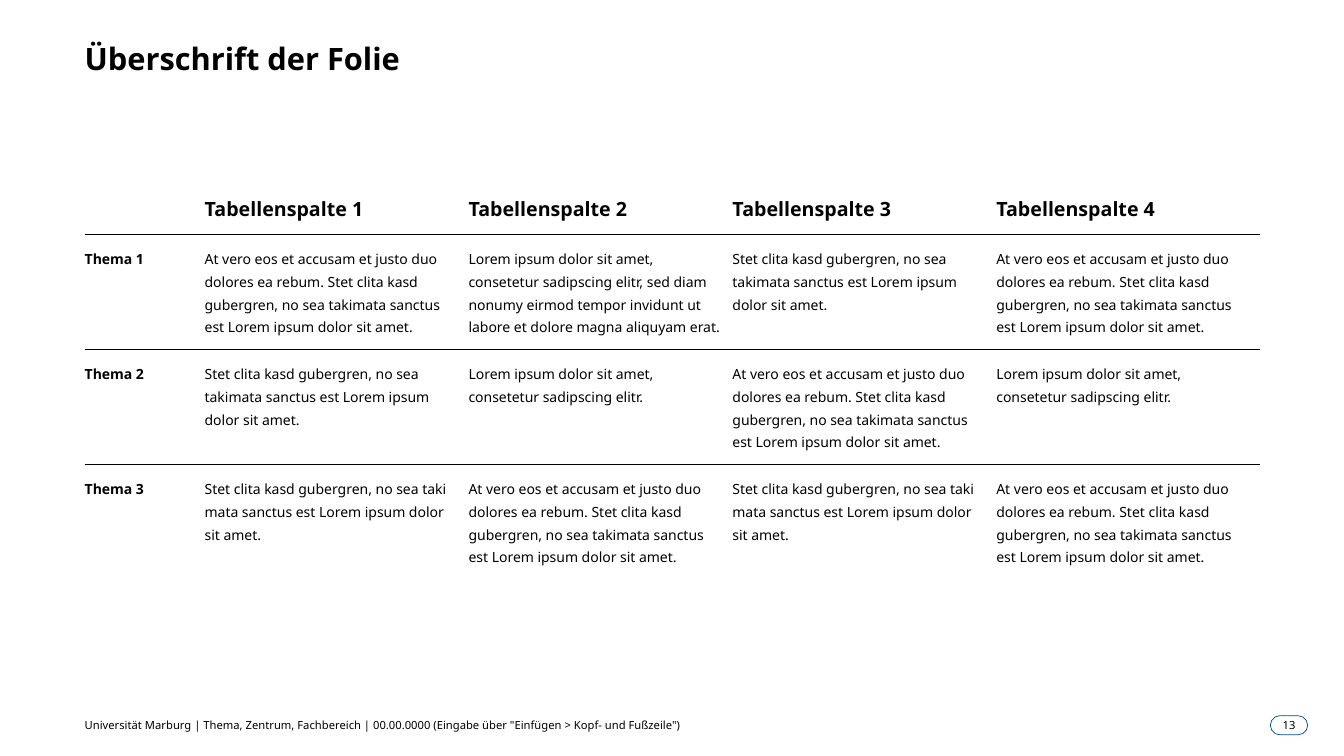
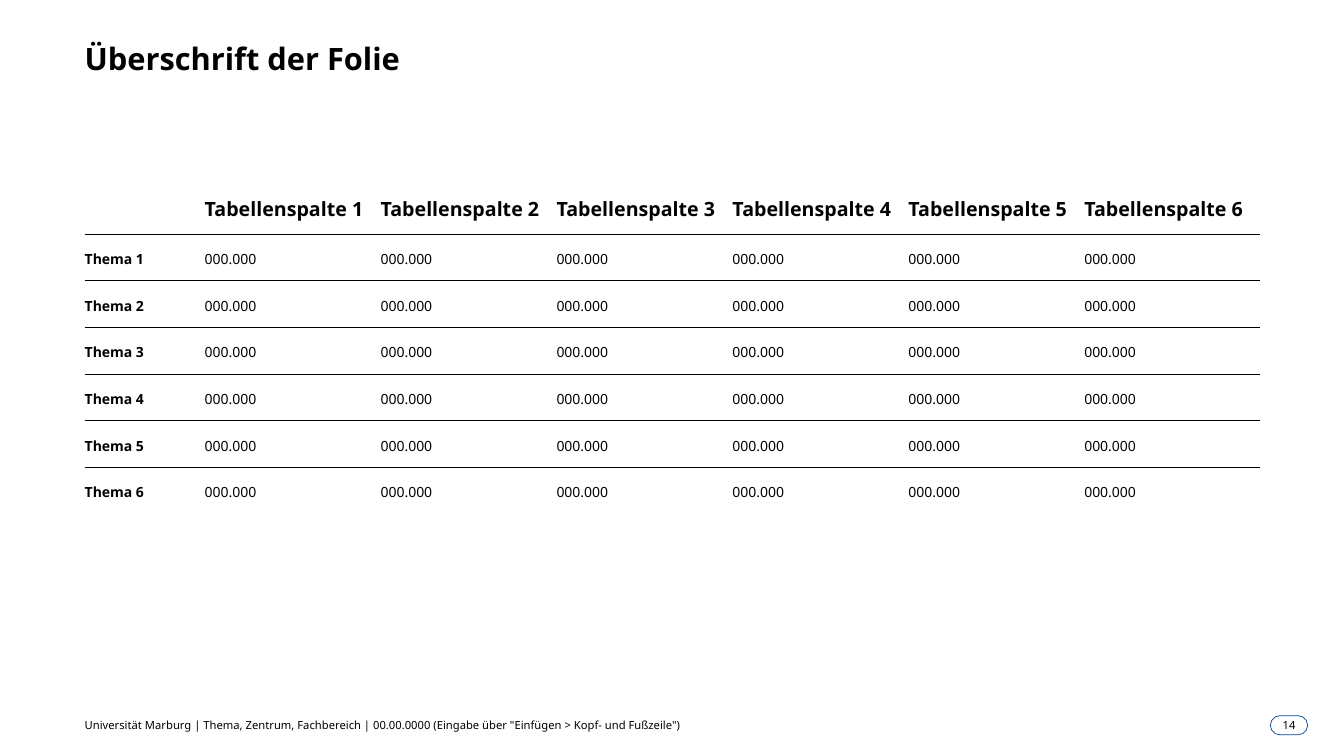
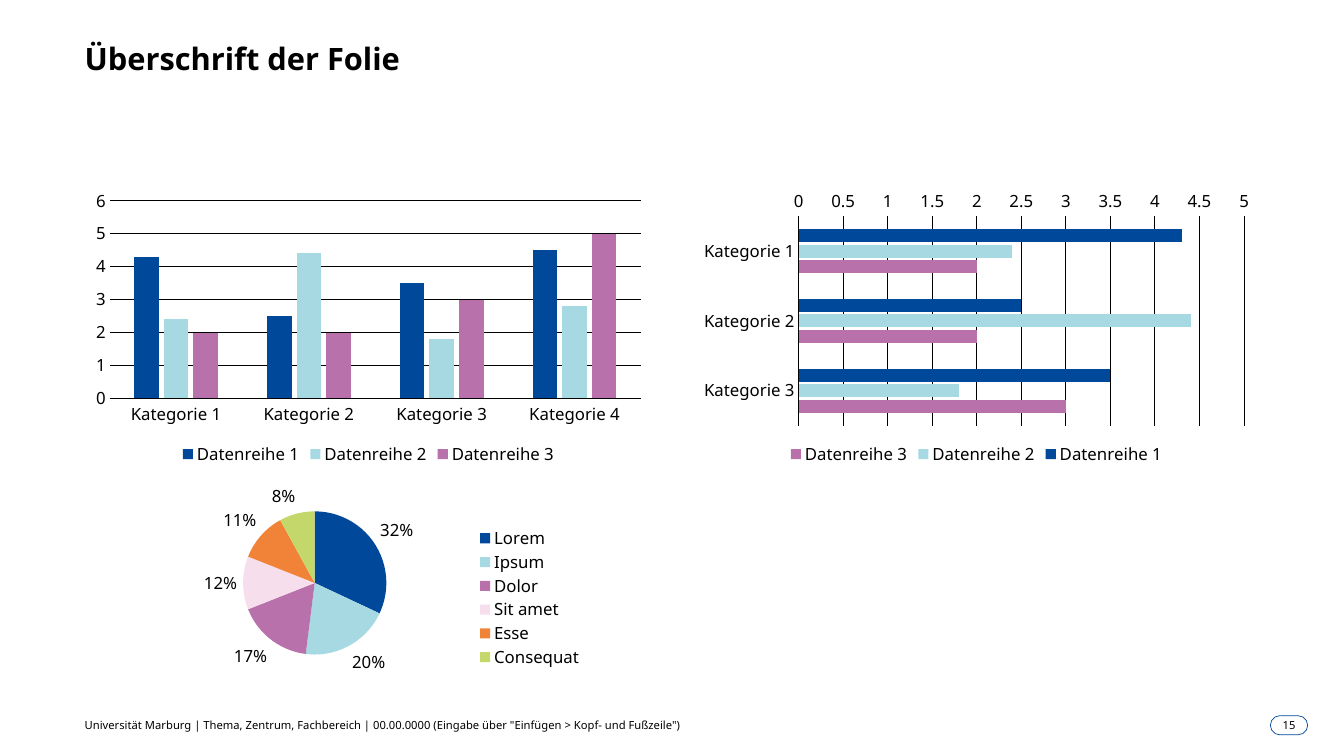
import lxml.etree
import pptx
import pptx.chart.data
import pptx.dml.color
import pptx.enum.chart
import pptx.enum.shapes
import pptx.enum.text
import pptx.oxml
import pptx.oxml.ns
import pptx.util

Inches = pptx.util.Inches
Pt = pptx.util.Pt
RGBColor = pptx.dml.color.RGBColor
Anchor = pptx.enum.text.MSO_ANCHOR
Align = pptx.enum.text.PP_ALIGN
ChartType = pptx.enum.chart.XL_CHART_TYPE
Legend = pptx.enum.chart.XL_LEGEND_POSITION
qn = pptx.oxml.ns.qn

BLACK = RGBColor(0x00, 0x00, 0x00)
BLUE = RGBColor(0x00, 0x48, 0x99)
LIGHT_BLUE = RGBColor(0xA6, 0xD9, 0xE2)
MAUVE = RGBColor(0xB9, 0x71, 0xAC)
PINK = RGBColor(0xF7, 0xDE, 0xED)
ORANGE = RGBColor(0xF0, 0x83, 0x38)
GREEN = RGBColor(0xC3, 0xD7, 0x6B)
PALETTE = [BLUE, LIGHT_BLUE, MAUVE, PINK, ORANGE, GREEN]

LEFT, WIDTH = 0.84, 11.66
CONTENT_TOP = 1.82
GUTTER = 0.4
HALF = (WIDTH - GUTTER) / 2
FOOTER_TOP, FOOTER_HEIGHT = 7.1, 0.19
TOPIC_WIDTH = 1.19
HEADER_HEIGHT = 0.5
FIRST_PAGE = 13

TITLE = "Überschrift der Folie"
FOOTER = ('Universität Marburg | Thema, Zentrum, Fachbereich | 00.00.0000 '
          '(Eingabe über "Einfügen > Kopf- und Fußzeile")')
NO_STYLE = "{2D5ABB26-0587-4C30-8999-92F81FD0307C}"
BORDER = ('<a:lnB xmlns:a="http://schemas.openxmlformats.org/drawingml/2006/main" w="6350">'
          f'<a:solidFill><a:srgbClr val="{BLACK}"/></a:solidFill></a:lnB>')
CELL_FORMAT = {"margin_left": 0, "margin_right": Inches(0.1),
               "margin_top": pptx.util.Cm(0.3), "margin_bottom": pptx.util.Cm(0.3)}
FRAME_FORMAT = {"margin_left": 0, "margin_right": 0, "margin_top": 0, "margin_bottom": 0,
                "auto_size": pptx.enum.text.MSO_AUTO_SIZE.NONE}

AT_VERO = ("At vero eos et accusam et justo duo dolores ea rebum. Stet clita kasd "
           "gubergren, no sea takimata sanctus est Lorem ipsum dolor sit amet.")
LOREM_SHORT = "Lorem ipsum dolor sit amet, consetetur sadipscing elitr."
LOREM_LONG = ("Lorem ipsum dolor sit amet, consetetur sadipscing elitr, sed diam nonumy "
              "eirmod tempor invidunt ut labore et dolore magna aliquyam erat.")
STET = "Stet clita kasd gubergren, no sea takimata sanctus est Lorem ipsum dolor sit amet."
STET_LINES = "Stet clita kasd gubergren, no sea\ntakimata sanctus est Lorem ipsum\ndolor sit amet."
STET_SPLIT = "Stet clita kasd gubergren, no sea taki\nmata sanctus est Lorem ipsum dolor sit amet."


def style_font(font, size, bold=False):
    font.name = "Noto Sans"
    font.size = Pt(size)
    font.bold = bold
    font.color.rgb = BLACK


def place_in_chart(parent, index, target, shares):
    """Give a plot area or legend a fixed place, in shares of its chart."""
    for old_layout in parent.findall(qn("c:layout")):
        parent.remove(old_layout)
    layout = lxml.etree.Element(qn("c:layout"))
    manual = lxml.etree.SubElement(layout, qn("c:manualLayout"))
    values = {"layoutTarget": target, "xMode": "edge", "yMode": "edge"}
    values.update(zip("xywh", shares))
    for name, value in values.items():
        if value is not None:
            lxml.etree.SubElement(manual, qn("c:" + name)).set("val", str(value))
    parent.insert(index, layout)


presentation = pptx.Presentation()
presentation.slide_width = Inches(13.33)
presentation.slide_height = Inches(7.5)
title_only = presentation.slide_layouts[5]

# Title, footer and page number on every slide
slides = []
for page in range(FIRST_PAGE, FIRST_PAGE + 3):
    slide = presentation.slides.add_slide(title_only)
    slides.append(slide)
    title = slide.shapes.title
    title.left, title.top = Inches(LEFT), Inches(0.36)
    title.width, title.height = Inches(WIDTH), Inches(0.98)
    footer = slide.shapes.add_textbox(Inches(LEFT), Inches(FOOTER_TOP),
                                      Inches(WIDTH), Inches(FOOTER_HEIGHT))
    badge = slide.shapes.add_shape(pptx.enum.shapes.MSO_SHAPE.ROUNDED_RECTANGLE,
                                   Inches(12.6), Inches(FOOTER_TOP),
                                   Inches(0.37), Inches(FOOTER_HEIGHT))
    badge.adjustments[0] = 0.5
    badge.shadow.inherit = False
    badge.fill.background()
    badge.line.color.rgb = BLUE
    badge.line.width = Pt(0.5)
    for shape, text, size, bold, anchor, alignment, wrap in [
        (title, TITLE, 22, True, Anchor.TOP, Align.LEFT, True),
        (footer, FOOTER, 8, False, Anchor.MIDDLE, Align.LEFT, True),
        (badge, str(page), 8, False, Anchor.MIDDLE, Align.CENTER, False),
    ]:
        frame = shape.text_frame
        for name, value in FRAME_FORMAT.items():
            setattr(frame, name, value)
        frame.vertical_anchor = anchor
        frame.word_wrap = wrap
        paragraph = frame.paragraphs[0]
        paragraph.text = text
        paragraph.alignment = alignment
        style_font(paragraph.runs[0].font, size, bold)
    title.text_frame.paragraphs[0].line_spacing = 1.1

# Tables on the first two slides
text_rows = [
    [AT_VERO, LOREM_LONG, STET, AT_VERO],
    [STET_LINES, LOREM_SHORT, AT_VERO, LOREM_SHORT],
    [STET_SPLIT, AT_VERO, STET_SPLIT, AT_VERO],
]
number_rows = [["000.000"] * 6] * 6

for slide, body_rows, row_height in [(slides[0], text_rows, 1.14), (slides[1], number_rows, 0.46)]:
    column_count = len(body_rows[0])
    rows = [[""] + [f"Tabellenspalte {number}" for number in range(1, column_count + 1)]]
    rows += [[f"Thema {number}"] + row for number, row in enumerate(body_rows, 1)]
    table = slide.shapes.add_table(
        len(rows), column_count + 1, Inches(LEFT), Inches(CONTENT_TOP), Inches(WIDTH),
        Inches(HEADER_HEIGHT + row_height * len(body_rows))).table
    table.first_row = table.horz_banding = False
    table._tbl.tblPr.find(qn("a:tableStyleId")).text = NO_STYLE
    for index, column in enumerate(table.columns):
        column.width = Inches((WIDTH - TOPIC_WIDTH) / column_count if index else TOPIC_WIDTH)
    for row_index, texts in enumerate(rows):
        table.rows[row_index].height = Inches(row_height if row_index else HEADER_HEIGHT)
        for column_index, text in enumerate(texts):
            cell = table.cell(row_index, column_index)
            cell.fill.background()
            for name, value in CELL_FORMAT.items():
                setattr(cell, name, value if text else 0)
            if row_index < len(rows) - 1:
                cell._tc.get_or_add_tcPr().insert(0, pptx.oxml.parse_xml(BORDER))
            if not text:
                continue
            paragraph = cell.text_frame.paragraphs[0]
            paragraph.text = text
            if row_index:
                paragraph.line_spacing = 1.2
            for run in paragraph.runs:
                style_font(run.font, 10 if row_index else 14,
                           row_index == 0 or column_index == 0)

# Column and bar chart
slide = slides[2]
series_values = [[4.3, 2.5, 3.5, 4.5], [2.4, 4.4, 1.8, 2.8], [2, 2, 3, 5]]
for position, (chart_type, category_count, maximum, step) in enumerate([
    (ChartType.COLUMN_CLUSTERED, 4, 6, 1),
    (ChartType.BAR_CLUSTERED, 3, 5, 0.5),
]):
    data = pptx.chart.data.CategoryChartData()
    data.categories = [f"Kategorie {number}" for number in range(1, category_count + 1)]
    for number, values in enumerate(series_values, 1):
        data.add_series(f"Datenreihe {number}", values[:category_count])
    chart = slide.shapes.add_chart(
        chart_type, Inches(LEFT + position * (HALF + GUTTER)), Inches(CONTENT_TOP),
        Inches(HALF), Inches(2.84), data).chart
    chart.has_title = False
    style_font(chart.font, 12)
    chart.has_legend = True
    chart.legend.position = Legend.BOTTOM
    chart.legend.include_in_layout = False
    style_font(chart.legend.font, 12)
    plot = chart.plots[0]
    plot.vary_by_categories = False
    plot.gap_width = 200
    plot.overlap = -20
    for series, color in zip(plot.series, PALETTE):
        series.format.fill.solid()
        series.format.fill.fore_color.rgb = color
    category_axis, value_axis = chart.category_axis, chart.value_axis
    for axis in (category_axis, value_axis):
        axis.major_tick_mark = axis.minor_tick_mark = pptx.enum.chart.XL_TICK_MARK.NONE
        style_font(axis.tick_labels.font, 12)
    value_axis.minimum_scale = 0
    value_axis.maximum_scale = maximum
    value_axis.major_unit = step
    value_axis.has_major_gridlines = True
    value_axis.format.line.fill.background()
    for line in (category_axis.format.line, value_axis.major_gridlines.format.line):
        line.color.rgb = BLACK
        line.width = Pt(0.75)
    if chart_type == ChartType.BAR_CLUSTERED:
        category_axis.reverse_order = True
        category_axis.crosses = pptx.enum.chart.XL_AXIS_CROSSES.MAXIMUM

# Pie chart
data = pptx.chart.data.CategoryChartData()
data.categories = ["Lorem", "Ipsum", "Dolor", "Sit amet", "Esse", "Consequat"]
data.add_series("Series 1", [32, 20, 17, 12, 11, 8])
chart = slide.shapes.add_chart(ChartType.PIE, Inches(1.83), Inches(4.76),
                               Inches(4.1), Inches(2.09), data).chart
chart.has_title = False
style_font(chart.font, 10)
chart.has_legend = True
chart.legend.position = Legend.BOTTOM
chart.legend.include_in_layout = False
style_font(chart.legend.font, 12)
place_in_chart(chart.legend._element, 1, None, (0.7, 0.22, 0.27, 0.68))
place_in_chart(chart._chartSpace.chart.plotArea, 0, "inner", (0.14, 0.15, 0.35, 0.68))
plot = chart.plots[0]
plot.vary_by_categories = True
for index, color in enumerate(PALETTE):
    fill = plot.series[0].points[index].format.fill
    fill.solid()
    fill.fore_color.rgb = color
labels = plot.series[0].data_labels
for name, value in {"show_percentage": True, "show_value": False, "number_format": "0%",
                    "number_format_is_linked": False,
                    "position": pptx.enum.chart.XL_LABEL_POSITION.OUTSIDE_END}.items():
    setattr(labels, name, value)
style_font(labels.font, 12)

presentation.save("out.pptx")
